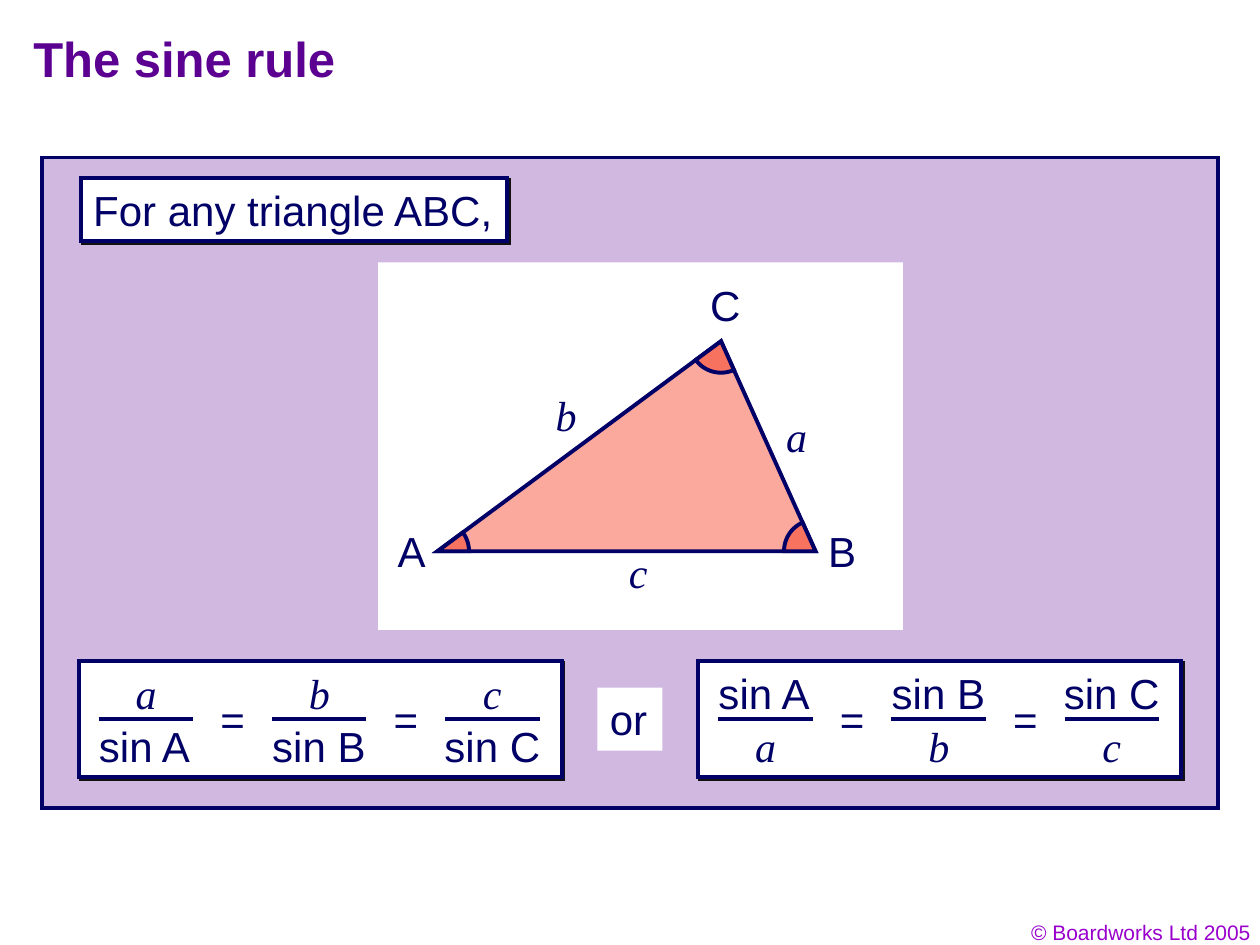
import math
from typing import Any, NamedTuple

from pptx import Presentation, util as u
from pptx.dml.color import RGBColor
from pptx.enum import shapes as kinds, text
from pptx.oxml import parse_xml
from pptx.oxml.ns import nsdecls
from lxml import etree

WHITE = RGBColor(0xFF, 0xFF, 0xFF)
NAVY = RGBColor(0x00, 0x00, 0x66)
INK = RGBColor(0x01, 0x00, 0x66)
LILAC = RGBColor(0xD0, 0xB8, 0xE0)
SALMON = RGBColor(0xFB, 0xA8, 0x9D)
CORAL = RGBColor(0xF8, 0x72, 0x60)
TITLE_PURPLE = RGBColor(0x5B, 0x00, 0x91)
CREDIT_PURPLE = RGBColor(0x99, 0x00, 0xCC)

# The slide is a grid of 120 columns by 90 rows, each cell 1/12 inch
COLS, ROWS = 120, 90
CELL = u.Inches(10) // COLS
LINE_ROWS = 6  # height of a one-line box at 24 pt

PLAIN = {"name": "Arial", "size": u.Pt(24)}
SIDE = {"name": "Times New Roman", "size": u.Pt(24), "italic": True}
HEADING = {"name": "Arial", "size": u.Pt(28), "bold": True}
CREDIT = {"name": "Arial", "size": u.Pt(12)}

# Columns that each label needs, margins included
WIDTHS = {"a": 4.3, "b": 4.3, "c": 4.2, "A": 5, "B": 5, "C": 5.3, "=": 4.7,
          "sin A": 11.3, "sin B": 11.3, "sin C": 11.5}


class Box(NamedTuple):
    col: float
    row: float
    cols: float
    rows: float

    def emu(self) -> list[int]:
        return [round(v * CELL) for v in self]


class Point(NamedTuple):
    col: float
    row: float


class Label(NamedTuple):
    wording: str
    middle: float
    row: float


def write(shape: Any, wording: str, style: dict, colour: RGBColor = INK,
          **frame_format: Any) -> None:
    frame = shape.text_frame
    values = {"word_wrap": False, "vertical_anchor": text.MSO_ANCHOR.TOP,
              "auto_size": text.MSO_AUTO_SIZE.SHAPE_TO_FIT_TEXT, **frame_format}
    for name, value in values.items():
        setattr(frame, name, value)
    paragraph = frame.paragraphs[0]
    paragraph.alignment = text.PP_ALIGN.LEFT
    run = paragraph.add_run()
    run.text = wording
    for name, value in style.items():
        setattr(run.font, name, value)
    run.font.color.rgb = colour


def stroke(shape: Any) -> None:
    """Give a navy line with sharp corners."""
    shape.line.color.rgb = NAVY
    shape.line.width = u.Pt(2.25)
    shape._element.spPr.find("{*}ln").append(
        parse_xml(f'<a:miter {nsdecls("a")} lim="800000"/>'))


def paint(shape: Any, fill: RGBColor, outlined: bool = True) -> None:
    shape.shadow.inherit = False
    shape.fill.solid()
    shape.fill.fore_color.rgb = fill
    if outlined:
        stroke(shape)
    else:
        shape.line.fill.background()


def panel(parent: Any, box: Box, fill: RGBColor = WHITE,
          outlined: bool = True, raised: bool = False) -> Any:
    shape = parent.add_shape(kinds.MSO_SHAPE.RECTANGLE, *box.emu())
    paint(shape, fill, outlined)
    if raised:
        effects = shape._element.spPr.find("{*}effectLst")
        effects.append(parse_xml(
            f'<a:outerShdw {nsdecls("a")} blurRad="0" dist="17961" dir="2700000" '
            'algn="ctr" rotWithShape="0"><a:srgbClr val="111111"/></a:outerShdw>'))
    return shape


def put_label(parent: Any, label: Label) -> None:
    cols = WIDTHS[label.wording]
    box = Box(label.middle - cols / 2, label.row, cols, LINE_ROWS)
    write(parent.add_textbox(*box.emu()), label.wording,
          SIDE if label.wording in "abc" else PLAIN)


def polygon(parent: Any, points: list[Point], fill: RGBColor) -> None:
    first, *rest = [(round(p.col * CELL), round(p.row * CELL)) for p in points]
    builder = parent.build_freeform(*first)
    builder.add_line_segments(rest, close=True)
    paint(builder.convert_to_shape(), fill)


def angle_mark(parent: Any, vertex: Point, start: Point, end: Point) -> None:
    """Fill the sector at a vertex between its two sides."""
    radius, steps = 3, 16
    begin, finish = (math.atan2(p.row - vertex.row, p.col - vertex.col)
                     for p in (start, end))
    sweep = math.remainder(finish - begin, math.tau)
    turns = [begin + sweep * i / steps for i in range(steps + 1)]
    arc = [Point(vertex.col + radius * math.cos(t), vertex.row + radius * math.sin(t))
           for t in turns]
    polygon(parent, arc + [vertex], CORAL)


def fraction_bar(parent: Any, col: float, row: float, cols: float) -> None:
    ends = [round(v * CELL) for v in (col, row, col + cols, row)]
    bar = parent.add_connector(kinds.MSO_CONNECTOR.STRAIGHT, *ends)
    stroke(bar)
    etree.SubElement(bar._element.spPr,
                     "{http://schemas.openxmlformats.org/drawingml/2006/main}effectLst")


def sine_rule(slide: Any, left: float, fractions: list[tuple[str, str]]) -> None:
    """Draw a panel of equal fractions, one every 16.5 columns."""
    top, step, bar_cols = 63, 16.5, 9
    parent = slide.shapes.add_group_shape().shapes
    panel(parent, Box(left, top, 46, 11), raised=True)
    for i, (numerator, denominator) in enumerate(fractions):
        middle = left + 6.4 + i * step
        put_label(parent, Label(numerator, middle, top))
        fraction_bar(parent, middle - bar_cols / 2, top + 5.5, bar_cols)
        put_label(parent, Label(denominator, middle, top + 5))
        if i < len(fractions) - 1:
            put_label(parent, Label("=", middle + step / 2, top + 2.5))


def triangle(slide: Any) -> None:
    parent = slide.shapes.add_group_shape().shapes
    a, b, c = Point(41.67, 52.5), Point(77.67, 52.5), Point(68.67, 32.5)
    polygon(parent, [a, b, c], SALMON)
    for vertex, start, end in ((a, c, b), (b, c, a), (c, a, b)):
        angle_mark(parent, vertex, start, end)
    for label in (Label("C", 69.1, 26), Label("A", 39.2, 49.5), Label("B", 80.2, 49.5),
                  Label("b", 53.9, 36.5), Label("c", 60.8, 51.5),
                  Label("a", 75.85, 38.5)):
        put_label(parent, label)


def main() -> None:
    deck = Presentation()
    deck.slide_width, deck.slide_height = COLS * CELL, ROWS * CELL
    slide = deck.slides.add_slide(deck.slide_layouts[6])
    shapes = slide.shapes

    # Credit line
    credit = shapes.add_textbox(*Box(92.3, 87, 28, 3.6).emu())
    write(credit, "© Boardworks Ltd 2005", CREDIT, CREDIT_PURPLE, word_wrap=True)
    credit.text_frame.paragraphs[0].alignment = text.PP_ALIGN.RIGHT

    # Backdrop and diagram area
    panel(shapes, Box(4, 15, 112, 62), LILAC)
    panel(shapes, Box(36, 25, 50, 35), outlined=False)

    # Title and opening words
    write(shapes.add_textbox(*Box(2, 2.1, 102, 8).emu()), "The sine rule",
          HEADING, TITLE_PURPLE, word_wrap=True, auto_size=text.MSO_AUTO_SIZE.NONE)
    write(panel(shapes, Box(7.7, 17, 40.6, LINE_ROWS), raised=True),
          "For any triangle ABC,", PLAIN)

    # Labelled triangle
    triangle(slide)

    # Both forms of the rule
    pairs = [(side, f"sin {side.upper()}") for side in "abc"]
    sine_rule(slide, 7.5, pairs)
    write(panel(shapes, Box(56.9, 65.5, 6.2, LINE_ROWS), outlined=False), "or", PLAIN)
    sine_rule(slide, 66.5, [(sine, side) for side, sine in pairs])

    deck.save("out.pptx")


if __name__ == "__main__":
    main()
